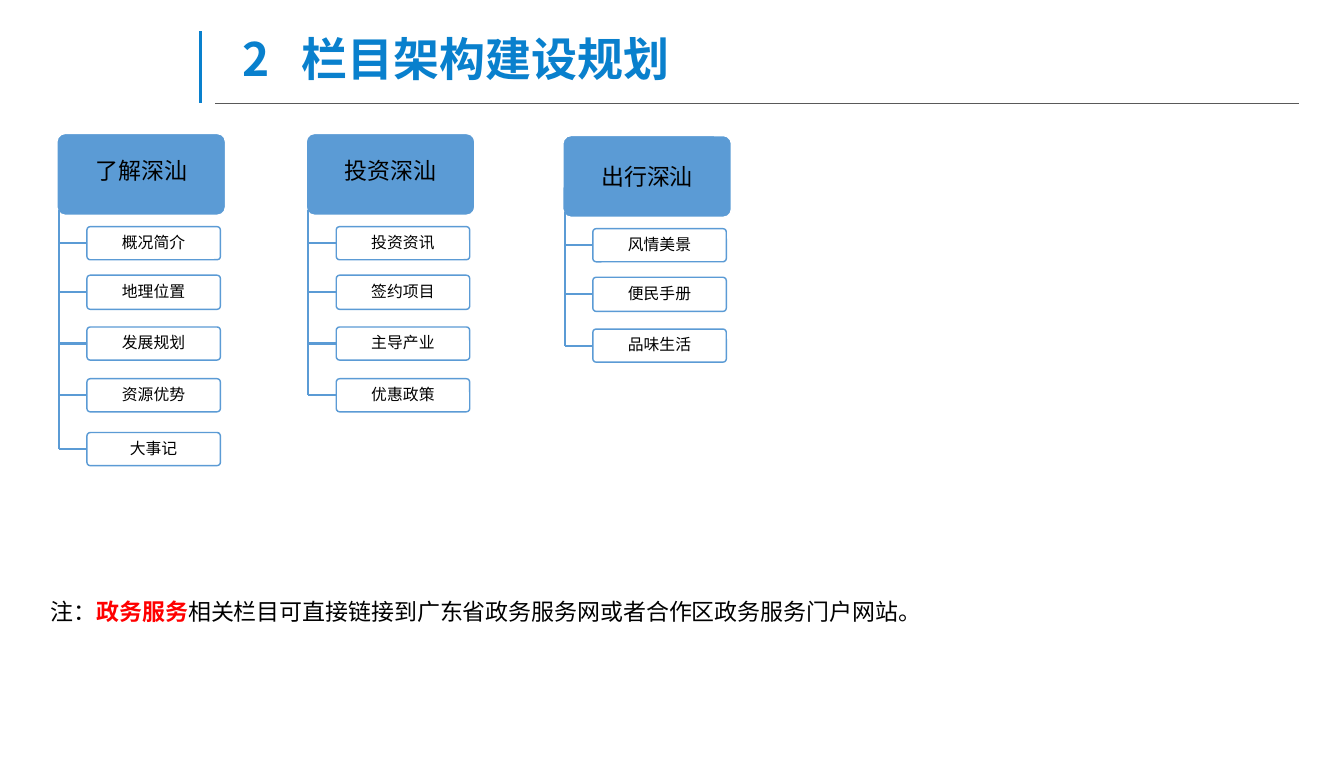
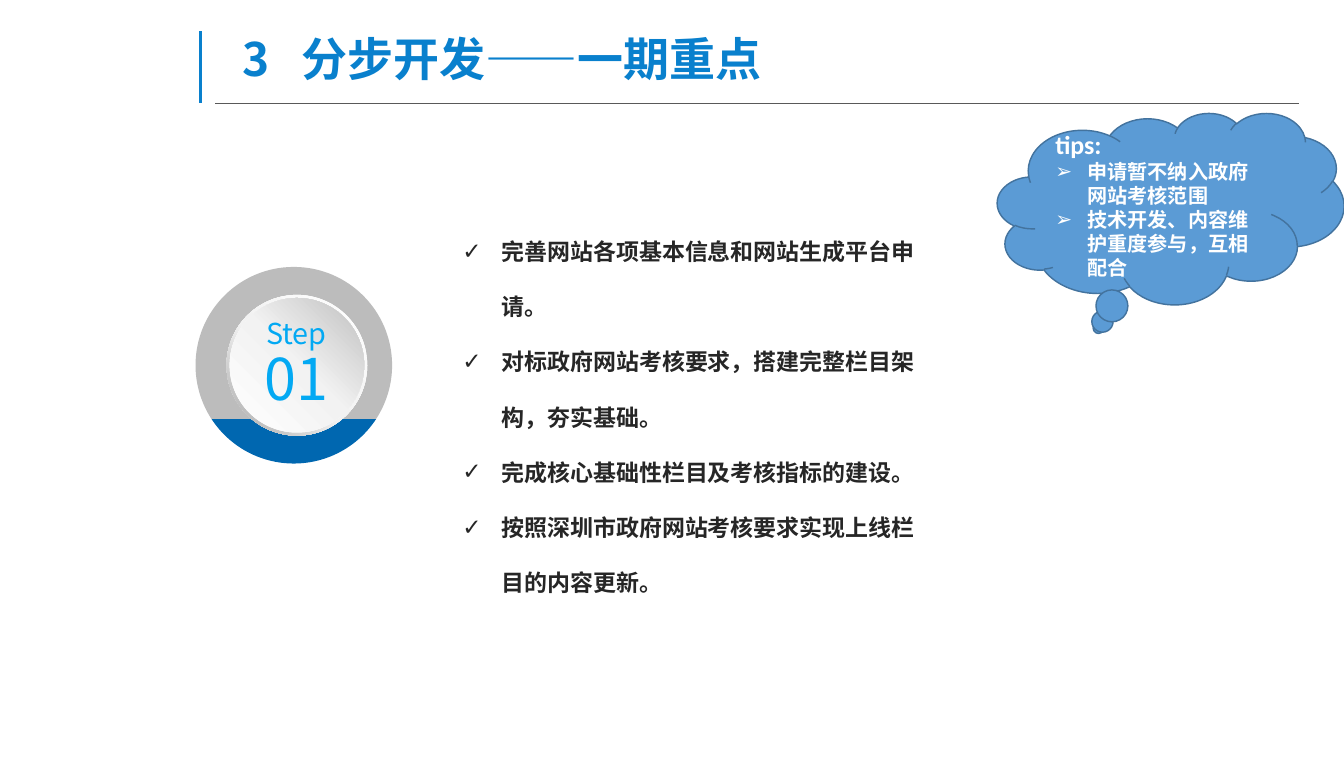
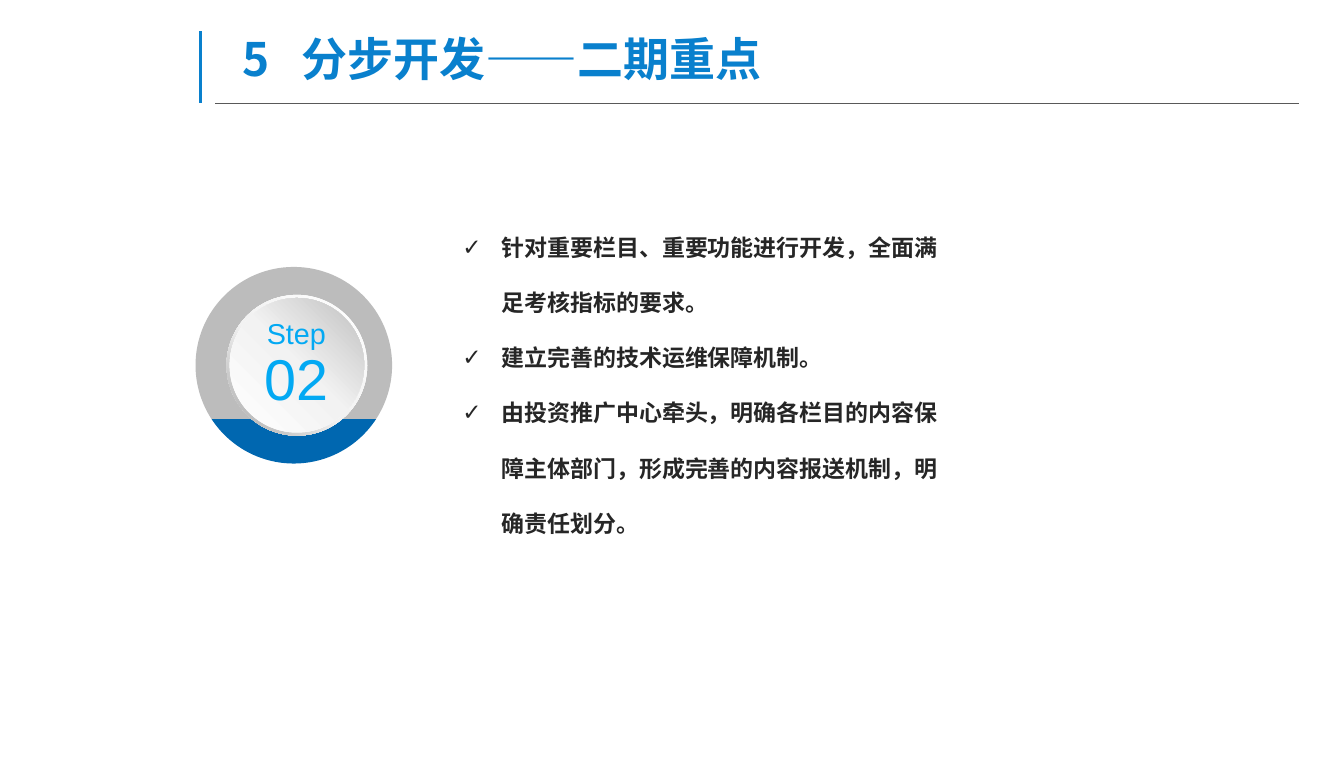
"""Builds three slides on a website's column structure and its phased development."""
from dataclasses import dataclass
from math import asin, cos, degrees, radians, sin, tan

from lxml import etree
from pptx import Presentation
from pptx.dml.color import RGBColor
from pptx.enum.shapes import MSO_CONNECTOR, MSO_SHAPE
from pptx.enum.text import MSO_ANCHOR, MSO_AUTO_SIZE, PP_ALIGN
from pptx.oxml.ns import qn
from pptx.util import Inches, Pt

STRAIGHT = MSO_CONNECTOR.STRAIGHT
ROUNDED, DONUT, OVAL = MSO_SHAPE.ROUNDED_RECTANGLE, MSO_SHAPE.DONUT, MSO_SHAPE.OVAL
CLOUD = MSO_SHAPE.CLOUD_CALLOUT
LEFT, CENTER = PP_ALIGN.LEFT, PP_ALIGN.CENTER
TOP, MIDDLE = MSO_ANCHOR.TOP, MSO_ANCHOR.MIDDLE
NO_FIT = MSO_AUTO_SIZE.NONE

SANS, CALIBRI, ARIAL = "Noto Sans CJK SC", "Calibri", "Arial"
TITLE_BLUE, RULE_GRAY = "0980CD", "595959"
BOX_BLUE, CLOUD_EDGE = "5B9BD5", "43739E"
RING_BLUE, STEP_BLUE = "0067B0", "03A9F3"
BLACK, WHITE, RED, BODY_DARK = "000000", "FFFFFF", "FF0000", "262626"

TITLE_LAYOUT, CONTENT_LAYOUT = 5, 1
HEADER_SIZE, ITEM_WIDTH, ITEM_INDENT = (1.63, 0.79), 1.29, 0.29
ITEM_ROWS = ((0.9, 0.32), (1.37, 0.33), (1.87, 0.32), (2.37, 0.32), (2.89, 0.32))
TRUNK_INDENT, TRUNK_OFFSET = 0.02, 0.74
RING_CENTER, RING_OUTER, RING_INNER, RING_CUT = (2.84, 3.53), 0.95, 0.65, 0.52

Point = tuple[int, int]


@dataclass(frozen=True)
class Column:
    """A column heading with its sub-columns."""
    left: float
    top: float
    heading: str
    items: tuple[str, ...]
    heading_spacing: float = 0.6


@dataclass(frozen=True)
class Phase:
    """A development phase with its step badge and goals."""
    title: tuple[str, str]
    number: str
    badge_font: str
    goals_box: tuple[float, float, float, float]
    goals: tuple[str, ...]


COLUMNS = (
    Column(0.55, 1.29, "了解深汕", ("概况简介", "地理位置", "发展规划", "资源优势", "大事记")),
    Column(5.44, 1.31, "出行深汕", ("风情美景", "便民手册", "品味生活"), 1.0),
    Column(2.96, 1.29, "投资深汕", ("投资资讯", "签约项目", "主导产业", "优惠政策")),
)
PHASE_ONE = Phase(
    ("3", "分步开发——一期重点"), "01", SANS, (4.4, 1.99, 4.72, 3.84),
    ("完善网站各项基本信息和网站生成平台申请。",
     "对标政府网站考核要求，搭建完整栏目架构，夯实基础。",
     "完成核心基础性栏目及考核指标的建设。",
     "按照深圳市政府网站考核要求实现上线栏目的内容更新。"))
PHASE_TWO = Phase(
    ("5", "分步开发——二期重点"), "02", ARIAL, (4.4, 1.95, 4.85, 3.85),
    ("针对重要栏目、重要功能进行开发，全面满足考核指标的要求。",
     "建立完善的技术运维保障机制。",
     "由投资推广中心牵头，明确各栏目的内容保障主体部门，形成完善的内容报送机制，明确责任划分。"))
TIPS = ("申请暂不纳入政府网站考核范围", "技术开发、内容维护重度参与，互相配合")


def rgb(color: str) -> RGBColor:
    """Turn a hex string into a colour."""
    return RGBColor.from_string(color)


def place(shape, box) -> None:
    """Move a placeholder to left, top, width, height in inches."""
    shape.left, shape.top, shape.width, shape.height = map(Inches, box)


def setup_frame(frame, *, insets=(0.1, 0.05), anchor=TOP, wrap=True) -> None:
    """Set the margins, anchor and wrapping of a text frame."""
    frame.auto_size = NO_FIT
    frame.word_wrap = wrap
    frame.vertical_anchor = anchor
    frame.margin_left = frame.margin_right = Inches(insets[0])
    frame.margin_top = frame.margin_bottom = Inches(insets[1])


def next_paragraph(frame):
    """Return the empty first paragraph, or a new one."""
    first = frame.paragraphs[0]
    return first if not first.runs else frame.add_paragraph()


def format_paragraph(paragraph, *, align=LEFT, spacing=1.0, bullet="", indent=0.0, tab=0.0):
    """Set bullet, tab, alignment and line spacing of a paragraph."""
    properties = paragraph._p.get_or_add_pPr()
    if bullet:
        properties.set("marL", str(Inches(indent)))
        properties.set("indent", str(-Inches(indent)))
        etree.SubElement(properties, qn("a:buFont")).set("typeface", ARIAL)
        etree.SubElement(properties, qn("a:buChar")).set("char", bullet)
    if tab:
        stops = etree.SubElement(properties, qn("a:tabLst"))
        etree.SubElement(stops, qn("a:tab"), pos=str(Inches(tab)), algn="l")
    paragraph.alignment = align
    paragraph.line_spacing = spacing
    paragraph.space_before = paragraph.space_after = Pt(0)
    return paragraph


def write(paragraph, text: str, *, size: float, color: str = BLACK,
          font: str = SANS, bold: bool = False) -> None:
    """Add a formatted run to a paragraph."""
    run = paragraph.add_run()
    run.text = text
    run.font.size = Pt(size)
    run.font.bold = bold
    run.font.color.rgb = rgb(color)
    run.font.name = font
    etree.SubElement(run._r.get_or_add_rPr(), qn("a:ea")).set("typeface", font)


def paint(shape, fill: str, *, line: str = "", opacity: int = 100) -> None:
    """Give a shape a solid fill and an optional 1 pt outline."""
    shape.shadow.inherit = False
    shape.fill.solid()
    shape.fill.fore_color.rgb = rgb(fill)
    if opacity < 100:
        tint = shape.element.spPr.find(qn("a:solidFill")).find(qn("a:srgbClr"))
        etree.SubElement(tint, qn("a:alpha")).set("val", str(opacity * 1000))
    if line:
        shape.line.color.rgb = rgb(line)
        shape.line.width = Pt(1)
    else:
        shape.line.fill.background()


def paint_gradient(shape, stops, angle: float) -> None:
    """Give a shape a gradient from (percent, colour) stops."""
    shape.shadow.inherit = False
    shape.line.fill.background()
    shape.fill.gradient()
    shape.fill.gradient_angle = angle
    stop_list = shape.element.spPr.find(".//" + qn("a:gsLst"))
    for old_stop in list(stop_list):
        stop_list.remove(old_stop)
    for percent, color in stops:
        stop = etree.SubElement(stop_list, qn("a:gs"), pos=str(percent * 1000))
        etree.SubElement(stop, qn("a:srgbClr"), val=color)


def add_preset(slide, kind, box):
    """Add a preset shape at a box in inches."""
    return slide.shapes.add_shape(kind, *map(Inches, box))


def add_line(slide, start, end, color: str, width: float):
    """Add a straight connector without a shadow."""
    line = slide.shapes.add_connector(STRAIGHT, *map(Inches, (*start, *end)))
    line.line.color.rgb = rgb(color)
    line.line.width = Pt(width)
    etree.SubElement(line.element.spPr, qn("a:effectLst"))
    return line


def add_title_rules(prs, slide) -> None:
    """Draw the title rules and move them to the master."""
    rules = (add_line(slide, (2.08, 1), (12.56, 1), RULE_GRAY, 0.5),
             add_line(slide, (1.94, 0.3), (1.94, 1), TITLE_BLUE, 2.25))
    for number, rule in enumerate(rules, start=20):
        rule.element.find(".//" + qn("p:cNvPr")).set("id", str(number))
        prs.slide_master.shapes.element.append(rule.element)


def add_titled_slide(prs, layout: int, title: tuple[str, str]):
    """Add a slide with a numbered title."""
    slide = prs.slides.add_slide(prs.slide_layouts[layout])
    heading = slide.shapes.title
    place(heading, (2.25, 0.3, 10.24, 0.69))
    setup_frame(heading.text_frame, insets=(0.09, 0.06))
    paragraph = format_paragraph(next_paragraph(heading.text_frame), spacing=0.9, tab=0.57)
    write(paragraph, "\t".join(title), size=32, color=TITLE_BLUE, bold=True)
    return slide


def add_label_box(slide, box, text: str, *, fill: str, line: str, size: float,
                  spacing: float, opacity: int = 100):
    """Add a rounded box with a centred label."""
    label = add_preset(slide, ROUNDED, box)
    label.adjustments[0] = 0.1
    paint(label, fill, line=line, opacity=opacity)
    setup_frame(label.text_frame, insets=(0.05, 0.04), anchor=MIDDLE)
    paragraph = format_paragraph(next_paragraph(label.text_frame), align=CENTER, spacing=spacing)
    write(paragraph, text, size=size)
    return label


def add_column(slide, column: Column) -> None:
    """Draw a column heading, its items and the tree lines."""
    add_label_box(slide, (column.left, column.top, *HEADER_SIZE), column.heading,
                  fill=BOX_BLUE, line=WHITE, size=16, spacing=column.heading_spacing)
    trunk = column.left + TRUNK_INDENT
    item_left = column.left + ITEM_INDENT
    middle = column.top
    for text, (offset, height) in zip(column.items, ITEM_ROWS):
        top = column.top + offset
        item = add_label_box(slide, (item_left, top, ITEM_WIDTH, height), text, fill=WHITE,
                             line=BOX_BLUE, size=11, spacing=0.9, opacity=90)
        middle = top + height / 2
        branch = add_line(slide, (trunk, middle), (item_left, middle), BOX_BLUE, 1.5)
        branch.end_connect(item, 1)
    add_line(slide, (trunk, column.top + TRUNK_OFFSET), (trunk, middle), BOX_BLUE, 1.5)


def add_note(slide) -> None:
    """Add the note under the columns."""
    note = slide.shapes.add_textbox(*map(Inches, (0.39, 5.59, 10.04, 0.5)))
    setup_frame(note.text_frame)
    paragraph = format_paragraph(next_paragraph(note.text_frame), spacing=1.5)
    write(paragraph, "注：", size=16)
    write(paragraph, "政务服务", size=16, color=RED, bold=True)
    write(paragraph, "相关栏目可直接链接到广东省政务服务网或者合作区政务服务门户网站。", size=16)


def ring_point(radius: float, angle: float, lean: float = 0.0) -> Point:
    """Return a point at an angle clockwise from the right, moved along the tangent."""
    turn = radians(angle)
    return (Inches(RING_CENTER[0] + radius * (cos(turn) - lean * sin(turn))),
            Inches(RING_CENTER[1] + radius * (sin(turn) + lean * cos(turn))))


def arc_curves(radius: float, start: float, end: float) -> list[tuple[Point, Point, Point]]:
    """Return Bezier curves along an arc, split at the quarter points."""
    low, high = sorted((start, end))
    quarters = [angle for angle in range(0, 361, 90) if low < angle < high]
    angles = sorted((start, *quarters, end), reverse=start > end)
    curves = []
    for first, last in zip(angles, angles[1:]):
        lean = 4 / 3 * tan(radians(last - first) / 4)
        curves.append((ring_point(radius, first, lean), ring_point(radius, last, -lean),
                       ring_point(radius, last)))
    return curves


def add_ring_part(slide, outer, inner, fill: str, opacity: int = 100) -> None:
    """Draw the part of the ring between an outer and an inner arc."""
    inner_start = ring_point(RING_INNER, inner[0])
    segments = [*arc_curves(RING_OUTER, *outer), (inner_start,), *arc_curves(RING_INNER, *inner)]
    builder = slide.shapes.build_freeform(*ring_point(RING_OUTER, outer[0]), scale=1.0)
    builder.add_line_segments([segment[-1] for segment in segments], close=True)
    part = builder.convert_to_shape()
    for side, segment in zip(part.element.spPr.findall(".//" + qn("a:lnTo")), segments):
        if len(segment) == 3:
            curve = etree.Element(qn("a:cubicBezTo"))
            for x, y in segment:
                etree.SubElement(curve, qn("a:pt"), x=str(x - part.left), y=str(y - part.top))
            side.getparent().replace(side, curve)
    paint(part, fill, opacity=opacity)


def add_badge(slide, phase: Phase) -> None:
    """Draw the step badge with its two-part ring."""
    outer = degrees(asin(RING_CUT / RING_OUTER))
    inner = degrees(asin(RING_CUT / RING_INNER))
    add_ring_part(slide, (180 - outer, 360 + outer), (360 + inner, 180 - inner), RULE_GRAY, 40)
    add_ring_part(slide, (outer, 180 - outer), (180 - inner, inner), RING_BLUE)
    rim = add_preset(slide, DONUT, (2.19, 2.85, 1.36, 1.36))
    rim.adjustments[0] = 0.05
    paint_gradient(rim, ((0, WHITE), (55, "F2F2F2"), (100, "A6A6A6")), 225)
    disc = add_preset(slide, OVAL, (2.22, 2.88, 1.3, 1.3))
    paint_gradient(disc, ((0, WHITE), (51, "F2F2F2"), (100, "BFBFBF")), 45)
    step = slide.shapes.add_textbox(*map(Inches, (2.46, 3.05, 0.81, 0.98)))
    setup_frame(step.text_frame, insets=(0.07, 0.04), wrap=False)
    for text, size in (("Step", 20), (phase.number, 40)):
        paragraph = format_paragraph(next_paragraph(step.text_frame), align=CENTER, spacing=0.9)
        write(paragraph, text, size=size, color=STEP_BLUE, font=phase.badge_font)


def add_phase_slide(prs, phase: Phase):
    """Add a slide with a step badge and a list of goals."""
    slide = add_titled_slide(prs, CONTENT_LAYOUT, phase.title)
    add_badge(slide, phase)
    goals = slide.placeholders[1]
    place(goals, phase.goals_box)
    setup_frame(goals.text_frame, insets=(0.07, 0.04))
    for goal in phase.goals:
        paragraph = format_paragraph(next_paragraph(goals.text_frame), spacing=2.0,
                                     bullet="✓", indent=0.38)
        write(paragraph, goal, size=16, color=BODY_DARK, bold=True)
    return slide


def add_tips(slide) -> None:
    """Add the cloud with tips."""
    cloud = add_preset(slide, CLOUD, (9.64, 1.09, 3.35, 1.85))
    paint(cloud, BOX_BLUE, line=CLOUD_EDGE)
    setup_frame(cloud.text_frame, anchor=MIDDLE)
    heading = format_paragraph(next_paragraph(cloud.text_frame))
    write(heading, "tips:", size=18, color=WHITE, font=CALIBRI, bold=True)
    for tip in TIPS:
        paragraph = format_paragraph(next_paragraph(cloud.text_frame), bullet="➢", indent=0.31)
        write(paragraph, tip, size=14, color=WHITE, font=CALIBRI, bold=True)


def main() -> None:
    """Build and save the presentation."""
    prs = Presentation()
    prs.slide_width, prs.slide_height = Inches(12.99), Inches(7.48)
    structure = add_titled_slide(prs, TITLE_LAYOUT, ("2", "栏目架构建设规划"))
    add_title_rules(prs, structure)
    for column in COLUMNS:
        add_column(structure, column)
    add_note(structure)
    add_tips(add_phase_slide(prs, PHASE_ONE))
    add_phase_slide(prs, PHASE_TWO)
    prs.save("out.pptx")


if __name__ == "__main__":
    main()
